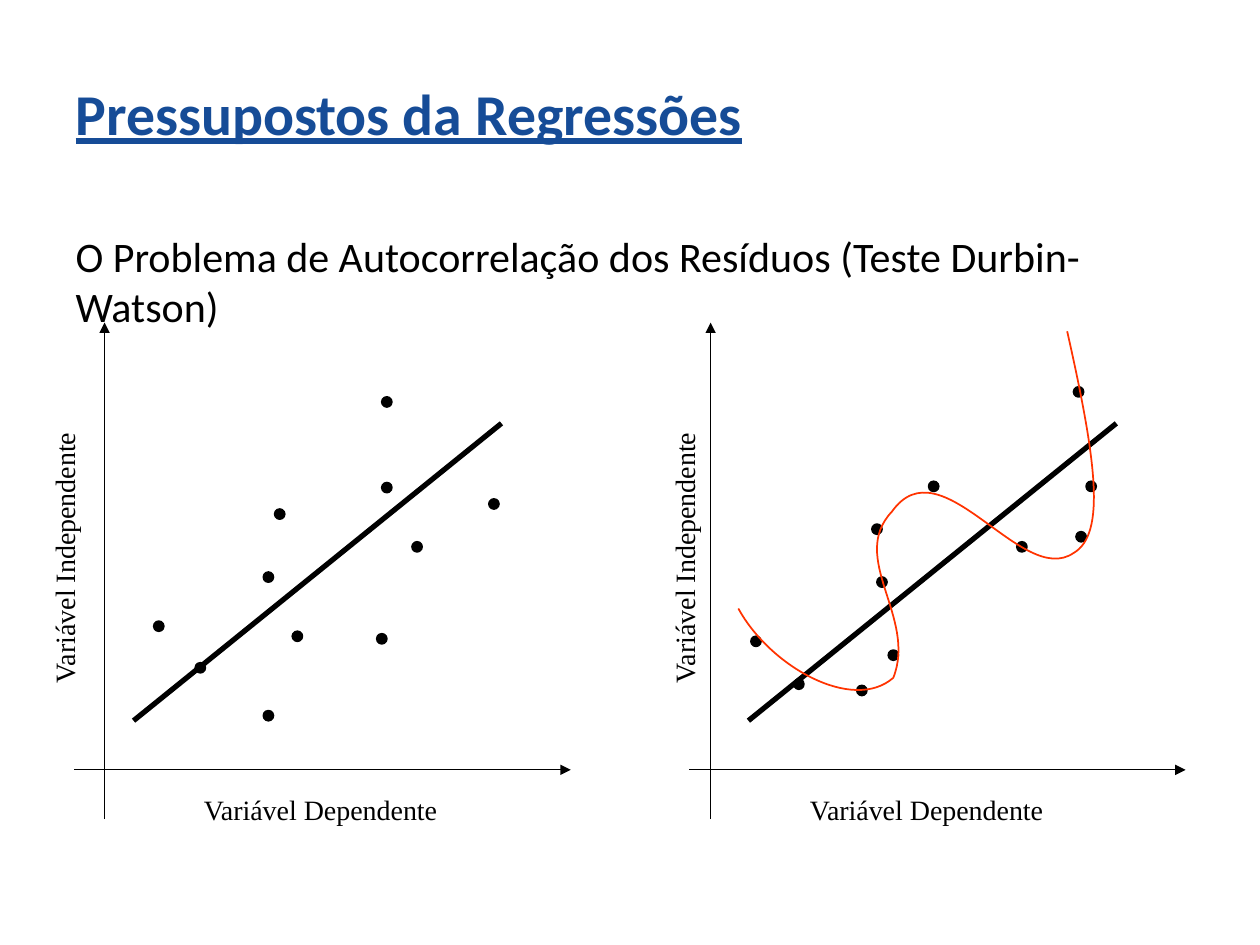
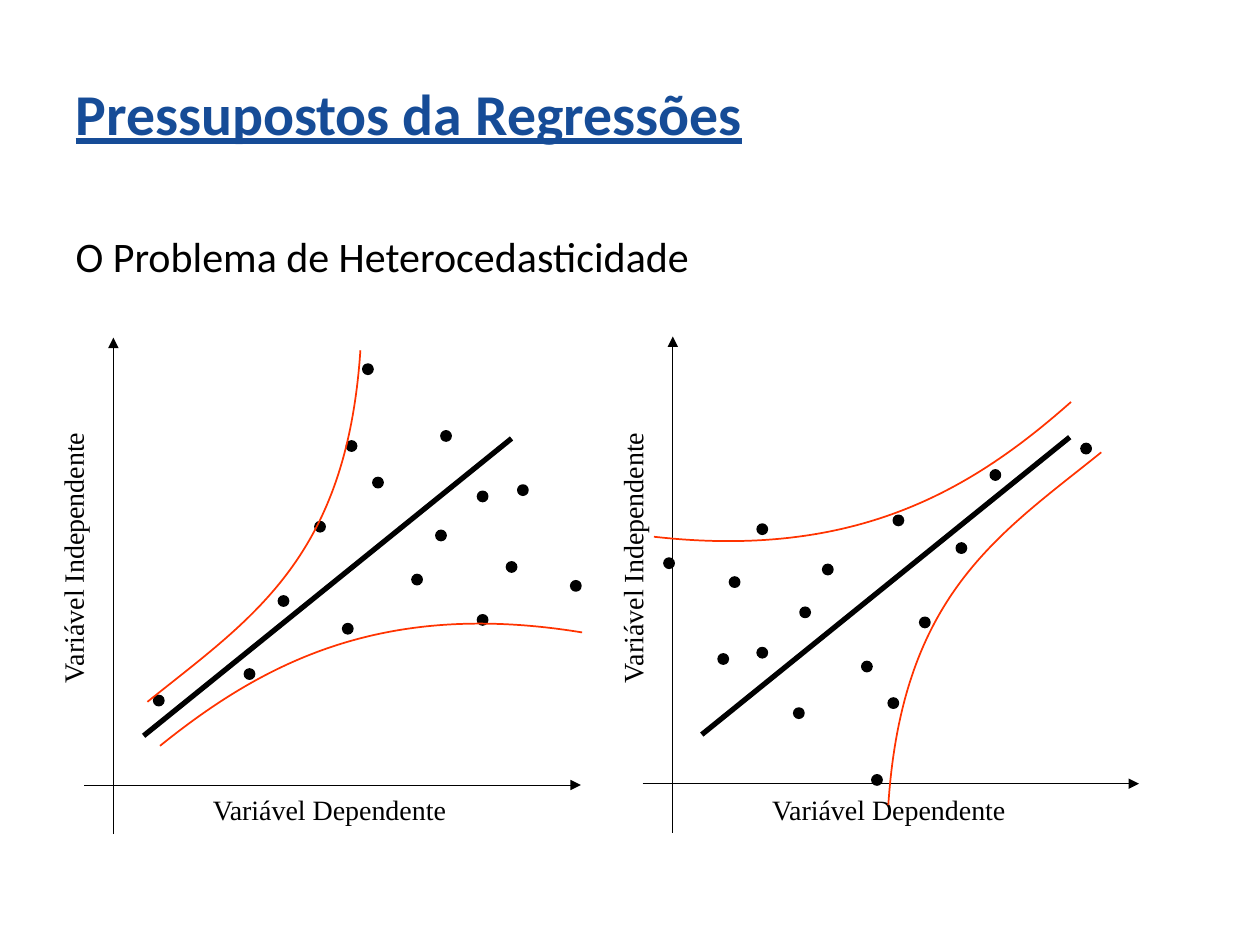
import pptx
import pptx.dml.color
import pptx.enum.shapes
import pptx.enum.text
import pptx.oxml.ns
import pptx.util

Inches = pptx.util.Inches
Pt = pptx.util.Pt
qn = pptx.oxml.ns.qn

# Shared look
TITLE_BLUE = pptx.dml.color.RGBColor(0x16, 0x4C, 0x97)
BLACK = pptx.dml.color.RGBColor(0, 0, 0)
CURVE_RED = pptx.dml.color.RGBColor(0xFF, 0x33, 0x00)
HEADING_FONT = "Calibri"
LABEL_FONT = "Times New Roman"
MARGIN, TEXT_WIDTH = 0.5, 9
AXIS_LENGTH = 3.94
AXIS_OVERHANG = 0.39
TREND_RUN, TREND_RISE = 2.92, 2.36
DOT_SIZE = 0.08
LABEL_HEIGHT = 0.37

# Content: corner is the left end of the horizontal axis, axis_x the vertical
# axis, label_x the centre of the turned label; dots are centres, in inches.
# Each curve is a start point followed by Bézier triples.
TITLE = "Pressupostos da Regressões"
X_LABEL, Y_LABEL = "Variável Dependente", "Variável Independente"

SLIDES = [
    {
        "subtitle": "O Problema de Autocorrelação dos Resíduos (Teste Durbin-Watson)",
        "subtitle_height": 0.91,
        "plots": [
            {
                "corner": (5.47, 6.11), "axis_x": 5.64, "label_x": 5.43,
                "dots": [(6.0, 5.09), (6.84, 5.48), (6.34, 5.43), (8.58, 4.26),
                         (8.56, 3.11), (6.96, 4.2), (8.66, 3.86), (8.11, 4.34),
                         (7.09, 5.2), (7.41, 3.86), (7.0, 4.62)],
            },
            {
                "corner": (0.59, 6.11), "axis_x": 0.83, "label_x": 0.51,
                "dots": [(1.26, 4.97), (2.13, 5.68), (1.59, 5.3), (3.03, 5.07),
                         (3.07, 3.19), (2.22, 4.08), (3.92, 4.0), (3.31, 4.34),
                         (2.36, 5.05), (3.07, 3.87), (2.13, 4.58)],
            },
        ],
        "curves": [
            [(5.86, 4.83), (6.11, 5.29), (6.77, 5.66), (7.09, 5.38),
             (7.28, 4.9), (6.73, 4.43), (7.08, 4.06),
             (7.47, 3.51), (8.11, 4.67), (8.52, 4.39),
             (8.78, 4.24), (8.7, 3.65), (8.47, 2.63)],
        ],
    },
    {
        "subtitle": "O Problema de Heterocedasticidade",
        "subtitle_height": 0.5,
        "plots": [
            {
                "corner": (0.67, 6.23), "axis_x": 0.9, "label_x": 0.58,
                "dots": [(1.26, 5.56), (3.54, 3.46), (2.76, 4.99), (3.83, 4.92),
                         (2.92, 2.93), (3.31, 4.6), (3.83, 3.94), (2.54, 4.18),
                         (1.98, 5.35), (2.79, 3.54), (2.25, 4.77), (4.06, 4.5),
                         (3.0, 3.83), (3.5, 4.25), (4.15, 3.89), (4.57, 4.65)],
            },
            {
                "corner": (5.1, 6.22), "axis_x": 5.34, "label_x": 5.02,
                "dots": [(8.62, 3.56), (6.34, 5.66), (7.13, 4.13), (6.05, 4.2),
                         (6.96, 6.19), (6.57, 4.52), (6.05, 5.18), (7.34, 4.94),
                         (7.9, 3.77), (7.09, 5.58), (7.63, 4.35), (5.83, 4.62),
                         (6.88, 5.29), (6.39, 4.86), (5.74, 5.23), (5.31, 4.47)],
            },
        ],
        "curves": [
            [(1.27, 5.92), (2.09, 5.26), (3.04, 4.76), (4.62, 5.02)],
            [(1.17, 5.57), (1.99, 4.91), (2.75, 4.44), (2.86, 2.78)],
            [(8.5, 3.19), (7.71, 3.89), (6.79, 4.44), (5.19, 4.26)],
            [(8.74, 3.59), (7.92, 4.25), (7.16, 4.72), (7.05, 6.39)],
        ],
    },
]


def place(shape, left, top, width, height):
    shape.left, shape.top = Inches(left), Inches(top)
    shape.width, shape.height = Inches(width), Inches(height)


def append_element(parent, tag, **attributes):
    child = parent.makeelement(qn(tag), attributes)
    parent.append(child)
    return child


def write(paragraph, text, font, size, color):
    run = paragraph.add_run()
    run.text = text
    run.font.name, run.font.size = font, Pt(size)
    run.font.color.rgb = color
    return run


def add_headings(slide, subtitle, height):
    title, body = slide.shapes.title, slide.placeholders[1]
    place(title, MARGIN, 0.3, TEXT_WIDTH, 1.25)
    place(body, MARGIN, 1.78, TEXT_WIDTH, height)
    for shape in (title, body):
        shape.text_frame.auto_size = pptx.enum.text.MSO_AUTO_SIZE.NONE
        shape.text_frame.paragraphs[0].alignment = pptx.enum.text.PP_ALIGN.LEFT
    title.text_frame.vertical_anchor = pptx.enum.text.MSO_ANCHOR.MIDDLE
    paragraph = title.text_frame.paragraphs[0]
    paragraph.line_spacing = 0.9
    run = write(paragraph, TITLE, HEADING_FONT, 33, TITLE_BLUE)
    run.font.bold = run.font.underline = True

    # The subtitle is a plain body line without bullet or indent
    paragraph = body.text_frame.paragraphs[0]
    paragraph.space_before = Pt(0)
    properties = paragraph._p.get_or_add_pPr()
    properties.set("marL", "0")
    properties.set("indent", "0")
    append_element(properties, "a:buNone")
    write(paragraph, subtitle, HEADING_FONT, 24, BLACK)


def add_line(shapes, start, end, width, arrow=False):
    line = shapes.add_connector(pptx.enum.shapes.MSO_CONNECTOR.STRAIGHT,
                                *map(Inches, start + end))
    line.line.color.rgb, line.line.width = BLACK, Pt(width)
    properties = line._element.spPr
    if arrow:
        append_element(properties.get_or_add_ln(), "a:tailEnd", type="triangle")
    append_element(properties, "a:effectLst")


def add_dot(shapes, x, y):
    dot = shapes.add_shape(pptx.enum.shapes.MSO_SHAPE.OVAL, 0, 0, 0, 0)
    place(dot, x - DOT_SIZE / 2, y - DOT_SIZE / 2, DOT_SIZE, DOT_SIZE)
    dot.shadow.inherit = False
    dot.fill.solid()
    dot.fill.fore_color.rgb = dot.line.color.rgb = BLACK
    dot.line.width = Pt(1)


def add_label(shapes, text, center_x, center_y, width, rotation=0):
    label = shapes.add_textbox(0, 0, 0, 0)
    place(label, center_x - width / 2, center_y - LABEL_HEIGHT / 2,
          width, LABEL_HEIGHT)
    label.rotation = rotation
    label.text_frame.word_wrap = False
    label.text_frame.auto_size = pptx.enum.text.MSO_AUTO_SIZE.SHAPE_TO_FIT_TEXT
    write(label.text_frame.paragraphs[0], text, LABEL_FONT, 16, BLACK)


def add_plot(slide, plot):
    shapes = slide.shapes.add_group_shape().shapes
    (left, base), axis_x = plot["corner"], plot["axis_x"]
    bottom = base + AXIS_OVERHANG
    trend_start = (left + 0.47, base - AXIS_OVERHANG)
    trend_end = (trend_start[0] + TREND_RUN, trend_start[1] - TREND_RISE)
    add_line(shapes, (left, base), (left + AXIS_LENGTH, base), 0.5, arrow=True)
    add_line(shapes, (axis_x, bottom), (axis_x, bottom - AXIS_LENGTH), 0.5, arrow=True)
    add_line(shapes, trend_start, trend_end, 3)
    for x, y in plot["dots"]:
        add_dot(shapes, x, y)
    add_label(shapes, X_LABEL, axis_x + 1.73, 6.43, 2.08)
    add_label(shapes, Y_LABEL, plot["label_x"], 4.41, 2.22, rotation=270)


def add_curve(slide, points):
    # The builder rounds to whole units, so it is given EMU
    start, *controls = [(Inches(x), Inches(y)) for x, y in points]
    builder = slide.shapes.build_freeform(*start)
    builder.add_line_segments(controls, close=False)
    curve = builder.convert_to_shape()
    curve.shadow.inherit = False
    curve.fill.background()
    curve.line.color.rgb, curve.line.width = CURVE_RED, Pt(1)
    # Turn every three straight segments into one Bézier segment
    segments = list(curve._element.iter(qn("a:lnTo")))
    outline = segments[0].getparent()
    for first in range(0, len(segments), 3):
        bezier = append_element(outline, "a:cubicBezTo")
        for segment in segments[first:first + 3]:
            bezier.append(segment[0])
            outline.remove(segment)


def main():
    presentation = pptx.Presentation()
    presentation.slide_width, presentation.slide_height = Inches(10), Inches(7.5)
    for content in SLIDES:
        slide = presentation.slides.add_slide(presentation.slide_layouts[1])
        add_headings(slide, content["subtitle"], content["subtitle_height"])
        for plot in content["plots"]:
            add_plot(slide, plot)
        for points in content["curves"]:
            add_curve(slide, points)
    presentation.save("out.pptx")


if __name__ == "__main__":
    main()
